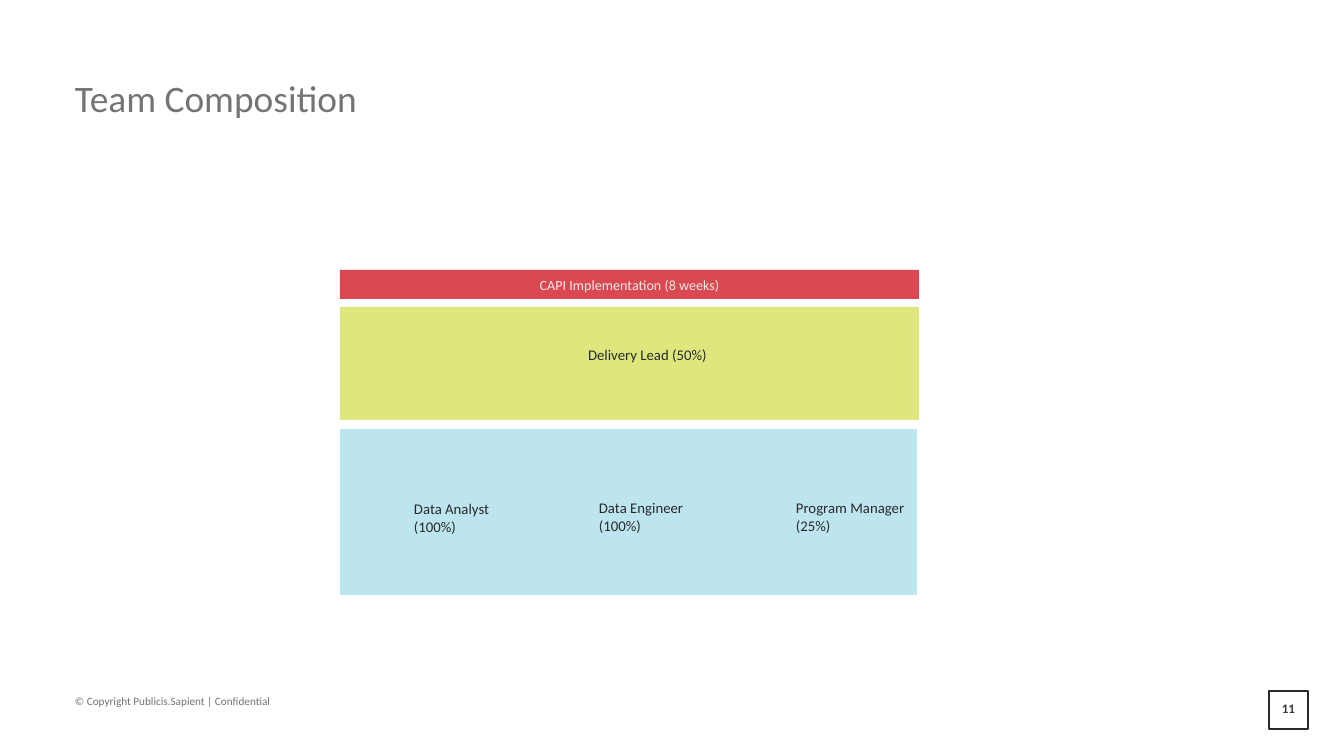
from pptx import Presentation
from pptx.dml.color import RGBColor
from pptx.enum.shapes import MSO_SHAPE
from pptx.enum.text import MSO_ANCHOR, PP_ALIGN
from pptx.util import Emu, Pt

SCALE = 914400 / 134.4
LABEL = {"size": Pt(7.9), "color": "292929"}
BANNER = {"size": Pt(7.5), "color": "F1ECE5"}
TITLE = {"size": Pt(20), "color": "747474"}
FOOTER = {"size": Pt(6), "color": "747474"}
NUMBER = {"size": Pt(7), "color": "3A3A3A", "bold": True}


def px(length):
    return Emu(round(length * SCALE))


def color(hex_string):
    return RGBColor.from_string(hex_string)


def write(shape, text, font_format, anchor, alignment):
    frame = shape.text_frame
    frame_format = {
        "margin_left": 0,
        "margin_top": 0,
        "margin_right": 0,
        "margin_bottom": 0,
        "word_wrap": True,
        "vertical_anchor": anchor,
    }
    for name, value in frame_format.items():
        setattr(frame, name, value)
    paragraph = frame.paragraphs[0]
    paragraph.alignment = alignment
    run = paragraph.add_run()
    run.text = text
    run.font.name = "Calibri"
    for name, value in font_format.items():
        if name == "color":
            run.font.color.rgb = color(value)
        else:
            setattr(run.font, name, value)


def add_text(slide, box, text, font_format, anchor=MSO_ANCHOR.TOP):
    shape = slide.shapes.add_textbox(*map(px, box))
    write(shape, text, font_format, anchor, PP_ALIGN.LEFT)


def add_panel(slide, box, fill=None, line=None):
    shape = slide.shapes.add_shape(MSO_SHAPE.RECTANGLE, *map(px, box))
    shape.shadow.inherit = False
    if fill:
        shape.fill.solid()
        shape.fill.fore_color.rgb = color(fill)
    else:
        shape.fill.background()
    if line:
        shape.line.color.rgb = color(line)
        shape.line.width = Pt(1)
    else:
        shape.line.fill.background()
    return shape


def add_banner(slide, box, text):
    shape = add_panel(slide, box, "DA4952")
    write(shape, text, BANNER, MSO_ANCHOR.MIDDLE, PP_ALIGN.CENTER)


def add_role_panel(slide, box, fill, roles):
    left, top, _, _ = box
    add_panel(slide, box, fill)
    for text, offset_x, offset_y, width in roles:
        label_box = (left + offset_x, top + offset_y, width, 36)
        add_text(slide, label_box, text, LABEL, MSO_ANCHOR.MIDDLE)


def add_team(slide, box):
    left, top, width, _ = box
    add_banner(slide, (left, top, width, 29), "CAPI Implementation (8 weeks)")
    add_role_panel(
        slide, (left, top + 37, width, 113), "DEE77D",
        [("Delivery Lead (50%)", 248, 30, 152)],
    )
    add_role_panel(
        slide, (left, top + 159, width - 2, 166), "BDE5EF",
        [
            ("Data Analyst (100%)", 74, 71, 109),
            ("Data Engineer (100%)", 259, 70, 122),
            ("Program Manager (25%)", 456, 70, 114),
        ],
    )


def add_footer(slide, box):
    left, top, width, _ = box
    add_text(
        slide, (left, top + 3, 396, 12),
        "© Copyright Publicis.Sapient | Confidential", FOOTER,
    )
    shape = add_panel(slide, (left + width - 39, top, 39, 38), line="292929")
    write(shape, "11", NUMBER, MSO_ANCHOR.MIDDLE, PP_ALIGN.CENTER)
    shape.text_frame.paragraphs[0].line_spacing = 0.85


def main():
    presentation = Presentation()
    presentation.slide_width = px(1344)
    presentation.slide_height = px(756)
    slide = presentation.slides.add_slide(presentation.slide_layouts[6])
    add_text(slide, (75, 75, 1194, 92), "Team Composition", TITLE)
    add_team(slide, (340, 270, 579, 325))
    add_footer(slide, (75, 691, 1233, 38))
    presentation.save("out.pptx")


if __name__ == "__main__":
    main()
